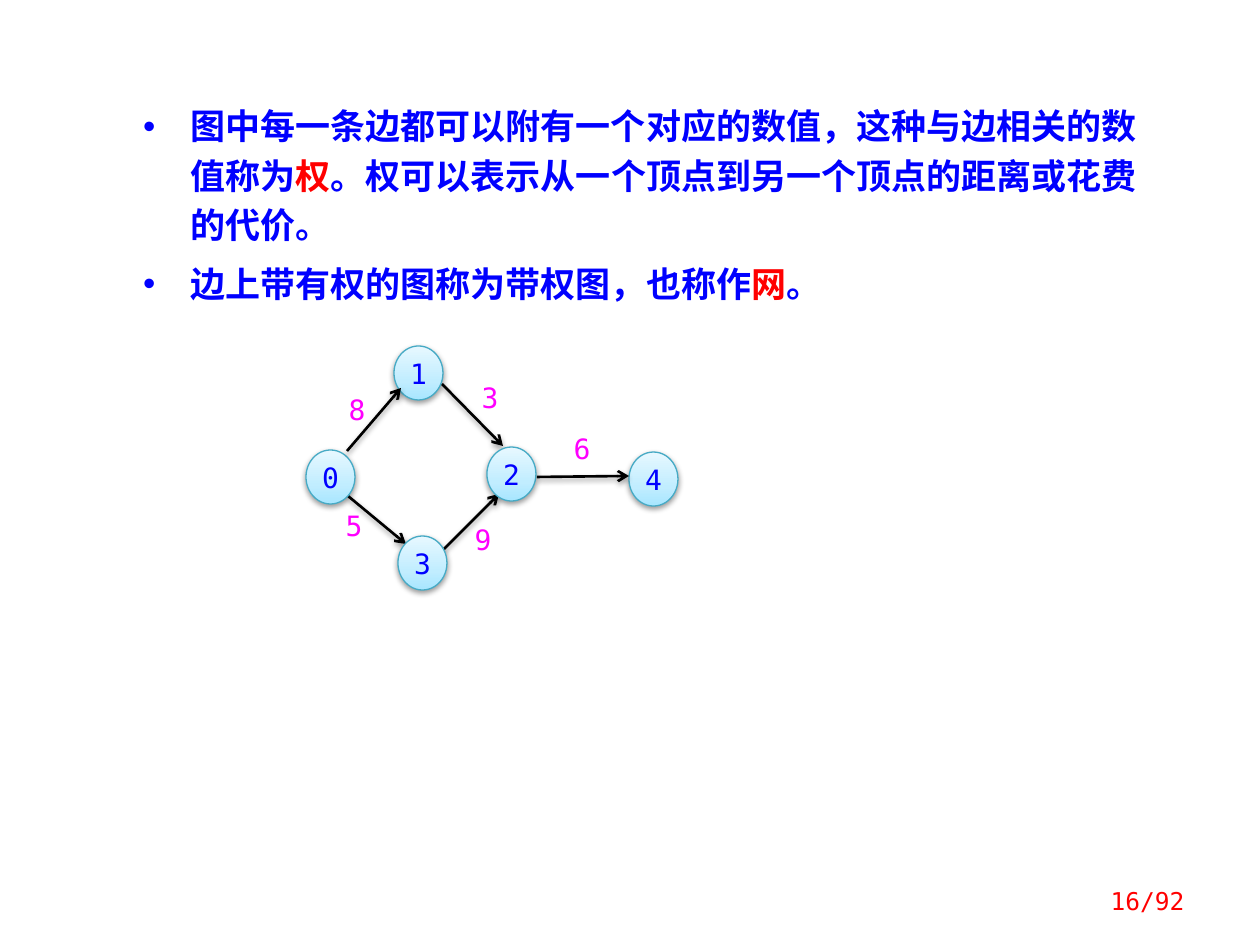
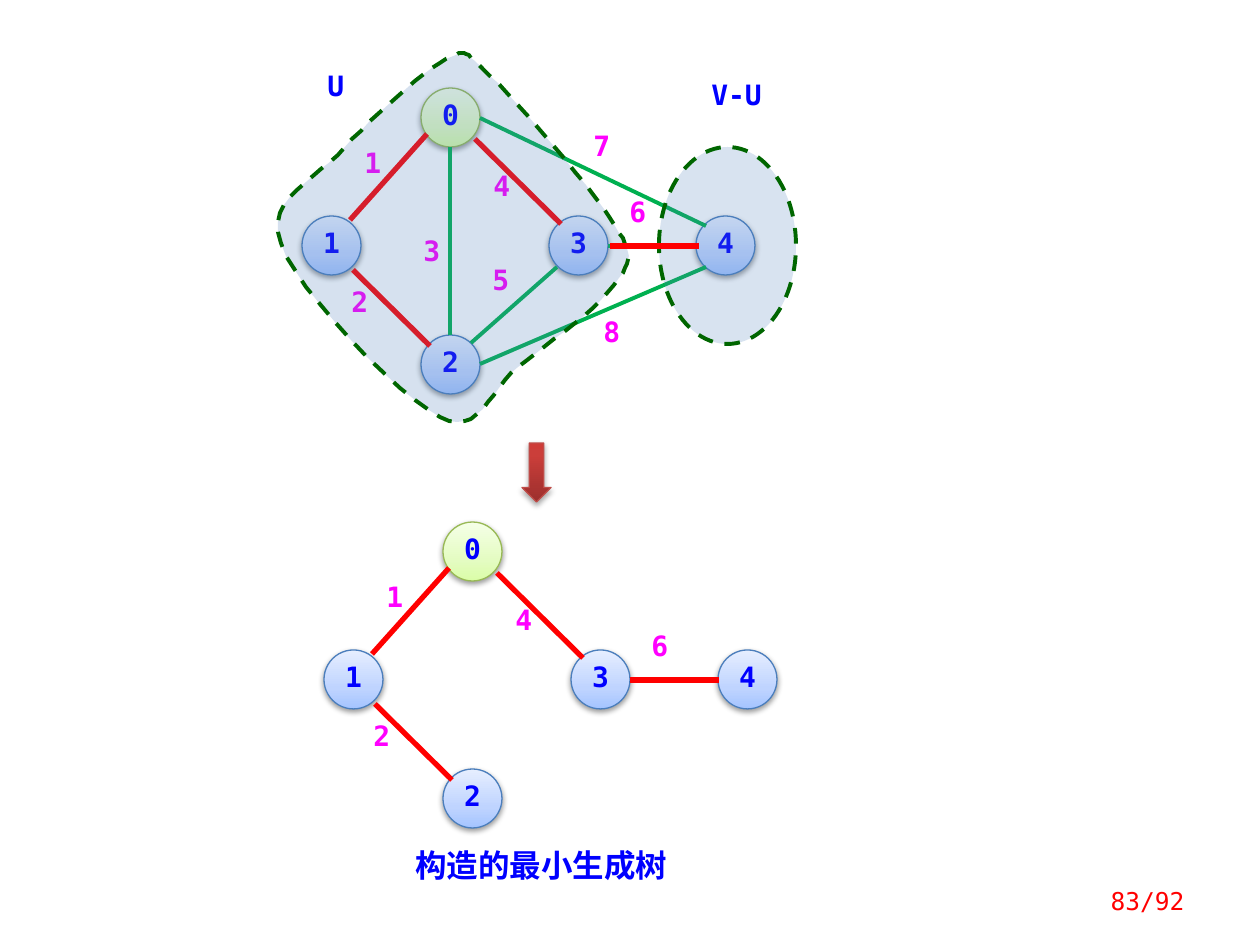
"""Build two slides on weighted graphs and minimum spanning trees."""
from dataclasses import dataclass

from lxml.etree import SubElement
from pptx import Presentation
from pptx.dml.color import RGBColor
from pptx.enum.dml import MSO_LINE
from pptx.enum.shapes import MSO_CONNECTOR, MSO_SHAPE
from pptx.enum.text import MSO_ANCHOR, PP_ALIGN
from pptx.oxml.ns import qn
from pptx.util import Pt

SCALE = 914400 / 126


@dataclass(frozen=True)
class Theme:
    """Colours, fonts and type sizes."""
    mono: str = "DejaVu Sans Mono"
    hans: str = "Noto Sans CJK SC"
    white: str = "FFFFFF"
    black: str = "000000"
    blue: str = "0000FF"
    red: str = "FF0000"
    pink: str = "FF00FF"
    green: str = "00B050"
    dash: str = "006600"
    zone: str = "4F81BD"
    aqua: tuple = ("46AAC5", (0, "A7E6FF"), (35, "C1EDFF"), (100, "E7F8FF"))
    lime: tuple = ("98B955", (0, "DAFDA7"), (35, "E4FCC2"), (100, "F5FFE7"))
    sky: tuple = ("4B7EBC", (0, "A4C4FF"), (35, "BFD4FF"), (100, "E6EEFF"))
    brick: tuple = ("BF4C48", (0, "9C2F2D"), (80, "CB3E3A"), (100, "CE3B37"))
    body: int = 20
    head: int = 18
    mark: int = 16
    foot: int = 14


T = Theme()

TEXT = [
    [("图中每一条边都可以附有一个对应的数值，这种与边相关的数值称为", T.blue), ("权", T.red),
     ("。权可以表示从一个顶点到另一个顶点的距离或花费的代价。", T.blue)],
    [("边上带有权的图称为带权图，也称作", T.blue), ("网", T.red), ("。", T.blue)],
]

NET_NODES = {"0": (0, 104), "1": (88, 0), "2": (181, 101), "3": (92, 190), "4": (323, 106)}
NET_BACK = {
    "9": ((136, 205, 193, 148), (158, 177)),
    "5": ((42, 150, 100, 198), (29, 163)),
    "3": ((136, 38, 197, 100), (165, 35)),
}
NET_FRONT = {
    "8": ((41, 105, 95, 42), (32, 47)),
    "6": ((231, 131, 323, 130), (257, 86)),
}

NODES = {"0": (119, 0), "1": (0, 128), "2": (119, 247), "3": (247, 128), "4": (394, 128)}
EDGES = {
    "3": ((148, 59, 148, 247), (109, 146)),
    "5": ((255, 179, 169, 255), (178, 175)),
    "7": ((178, 30, 404, 138), (279, 41)),
    "8": ((178, 276, 404, 179), (289, 227)),
    "1": ((125, 46, 48, 132), (50, 58)),
    "2": ((51, 182, 128, 258), (37, 197)),
    "4": ((173, 51, 259, 136), (179, 81)),
    "6": ((306, 158, 395, 158), (315, 107)),
}
TREE = ("1", "2", "4", "6")

CURVE = [
    (144, -29), (120, -16), (71, 29), (43, 59), (16, 90), (-37, 110), (-21, 155),
    (-6, 201), (97, 309), (138, 329), (177, 350), (187, 303), (216, 279),
    (246, 256), (302, 216), (317, 190), (333, 167), (329, 164), (308, 130),
    (286, 96), (215, 13), (188, -12), (160, -38), (168, -40), (144, -29),
]


def px(*nums):
    """Turn pixel lengths into EMU."""
    return [round(num * SCALE) for num in nums]


def rgb(code):
    """Turn a hex code into a colour."""
    return RGBColor.from_string(code)


def style(para, size, color, bold=False, face=T.mono):
    """Set the font of a whole paragraph."""
    font = para.font
    font.size, font.bold, font.name = Pt(size), bold, face
    font.color.rgb = rgb(color)
    SubElement(para._p.pPr.find(qn("a:defRPr")), qn("a:ea"), typeface=T.hans)


def inset(frame, left, top, right, bottom):
    """Set the four margins of a text frame."""
    frame.margin_left, frame.margin_top, frame.margin_right, frame.margin_bottom = px(
        left, top, right, bottom)


def write(shape, text, size, color, align, bold=False, tight=False, face=T.mono):
    """Put one styled line of text into a shape."""
    frame = shape.text_frame
    frame.word_wrap = True
    para = frame.paragraphs[0]
    para.text, para.alignment = text, align
    if tight:
        para.line_spacing = 0.8
    style(para, size, color, bold, face)
    return frame


def label(slide, box, text, color=T.pink, size=T.mark, face=T.mono):
    """Add a bold label aligned left."""
    area = slide.shapes.add_textbox(*px(*box))
    write(area, text, size, color, PP_ALIGN.LEFT, True, True, face)


def cast(item, alpha=38, dist=20000):
    """Give an item a soft shadow below."""
    props = item._element.spPr
    group = props.find(qn("a:effectLst"))
    drop = SubElement(group, qn("a:outerShdw"), blurRad="40000", dist=str(dist),
                      dir="5400000", rotWithShape="0")
    tint = SubElement(drop, qn("a:srgbClr"), val=T.black)
    SubElement(tint, qn("a:alpha"), val=str(alpha * 1000))


def shade(shape, look):
    """Fill a shape with a vertical gradient and outline it."""
    edge, *stops = look
    shape.shadow.inherit = False
    shape.fill.gradient()
    shape.fill.gradient_angle = 90
    group = shape._element.spPr.find(".//" + qn("a:gsLst"))
    for stop in list(group):
        group.remove(stop)
    for spot, code in stops:
        stop = SubElement(group, qn("a:gs"), pos=str(spot * 1000))
        SubElement(stop, qn("a:srgbClr"), val=code)
    shape.line.color.rgb, shape.line.width = rgb(edge), Pt(0.75)


def node(slide, box, text, look, bold):
    """Add a round graph node."""
    disc = slide.shapes.add_shape(MSO_SHAPE.OVAL, *px(*box))
    shade(disc, look)
    cast(disc)
    return write(disc, text, T.mark, T.blue, PP_ALIGN.CENTER, bold, bold)


def link(slide, left, top, ends, color, width, arrow=False):
    """Add an edge, with an arrowhead and shadow if wanted."""
    x1, y1, x2, y2 = ends
    line = slide.shapes.add_connector(
        MSO_CONNECTOR.STRAIGHT, *px(left + x1, top + y1, left + x2, top + y2))
    line.line.color.rgb, line.line.width = rgb(color), Pt(width)
    props = line._element.spPr
    SubElement(props, qn("a:effectLst"))
    if arrow:
        SubElement(props.find(qn("a:ln")), qn("a:tailEnd"), type="arrow")
        cast(line)


def zone(shape, alpha):
    """Tint a region and outline it with dashes."""
    shape.shadow.inherit = False
    shape.fill.solid()
    shape.fill.fore_color.rgb = rgb(T.zone)
    tint = shape._element.spPr.find(qn("a:solidFill")).find(qn("a:srgbClr"))
    SubElement(tint, qn("a:alpha"), val=str(alpha * 1000))
    shape.line.color.rgb, shape.line.width = rgb(T.dash), Pt(2.25)
    shape.line.dash_style = MSO_LINE.DASH


def bends(spots, steps=12):
    """Yield points along a chain of cubic curves."""
    for at in range(0, len(spots) - 1, 3):
        quad = spots[at:at + 4]
        for step in range(1, steps + 1):
            t = step / steps
            parts = ((1 - t) ** 3, 3 * t * (1 - t) ** 2, 3 * t * t * (1 - t), t ** 3)
            yield tuple(sum(p * spot[axis] for p, spot in zip(parts, quad)) for axis in (0, 1))


def bullets(slide, box):
    """Fill the body placeholder with the definitions."""
    body = slide.placeholders[1]
    body.left, body.top, body.width, body.height = px(*box)
    body.fill.solid()
    body.fill.fore_color.rgb = rgb(T.white)
    frame = body.text_frame
    inset(frame, 25, 20, 13, 20)
    for at, runs in enumerate(TEXT):
        para = frame.add_paragraph() if at else frame.paragraphs[0]
        para.line_spacing, para.space_before = Pt(28), Pt(6 if at else 0)
        style(para, T.body, T.blue, True)
        for text, color in runs:
            run = para.add_run()
            run.text = text
            if color != T.blue:
                run.font.color.rgb = rgb(color)


def net(slide, left, top):
    """Draw the directed weighted graph."""
    for ends, _ in NET_BACK.values():
        link(slide, left, top, ends, T.black, 1.5, True)
    for text, (x, y) in NET_NODES.items():
        inset(node(slide, (left + x, top + y, 49, 54), text, T.aqua, False), 0, 0, 0, 0)
    for ends, _ in NET_FRONT.values():
        link(slide, left, top, ends, T.black, 1.5, True)
    for text, (_, (x, y)) in {**NET_BACK, **NET_FRONT}.items():
        area = slide.shapes.add_textbox(*px(left + x, top + y, 38, 33))
        inset(write(area, text, T.mark, T.pink, PP_ALIGN.CENTER), 0, 0, 0, 0)


def graph(slide, left, top, names, picks):
    """Draw the named edges, the picked ones in red."""
    for text, (x, y) in NODES.items():
        look = T.lime if text == "0" else T.sky
        node(slide, (left + x, top + y, 59, 59), text, look, True)
    for name in names:
        ends, (x, y) = EDGES[name]
        color, width = (T.red, 3) if name in picks else (T.green, 2.25)
        link(slide, left, top, ends, color, width)
        label(slide, (left + x, top + y, 59, 40), name)


def cut(slide, left, top):
    """Draw the graph split into U and V-U."""
    graph(slide, left, top, EDGES, TREE[:3])
    label(slide, (left + 13, top - 19, 49, 40), "U", T.blue)
    label(slide, (left + 397, top - 10, 88, 40), "V-U", T.blue)
    pen = slide.shapes.build_freeform(*CURVE[0], scale=SCALE)
    pen.add_line_segments(list(bends(CURVE)), close=True)
    zone(pen.convert_to_shape(*px(left, top)), 23)
    oval = slide.shapes.add_shape(MSO_SHAPE.OVAL, *px(left + 357, top + 59, 137, 197))
    zone(oval, 22)
    link(slide, left, top, (308, 158, 397, 158), T.red, 3)


def tree(slide, left, top):
    """Draw the spanning tree and its caption."""
    graph(slide, left, top, TREE, TREE)
    label(slide, (left + 79, top + 325, 325, 43), "构造的最小生成树", T.blue, T.head, T.hans)


def down(slide, box):
    """Add the arrow between the two graphs."""
    arrow = slide.shapes.add_shape(MSO_SHAPE.DOWN_ARROW, *px(*box))
    shade(arrow, T.brick)
    cast(arrow, 35, 23000)


def footer(slide, page):
    """Add the page count."""
    area = slide.shapes.add_textbox(*px(1043, 876, 154, 50))
    frame = write(area, f"{page}/92", T.foot, T.red, PP_ALIGN.RIGHT)
    frame.vertical_anchor = MSO_ANCHOR.MIDDLE


def main():
    """Build and save the slides."""
    deck = Presentation()
    deck.slide_width, deck.slide_height = px(1260, 945)

    first = deck.slides.add_slide(deck.slide_layouts[1])
    title = first.shapes.title._element
    title.getparent().remove(title)
    bullets(first, (118, 78, 1050, 246))
    net(first, 306, 346)
    footer(first, 16)

    second = deck.slides.add_slide(deck.slide_layouts[6])
    cut(second, 302, 88)
    down(second, (522, 443, 29, 59))
    tree(second, 324, 522)
    footer(second, 83)

    deck.save("out.pptx")


if __name__ == "__main__":
    main()
